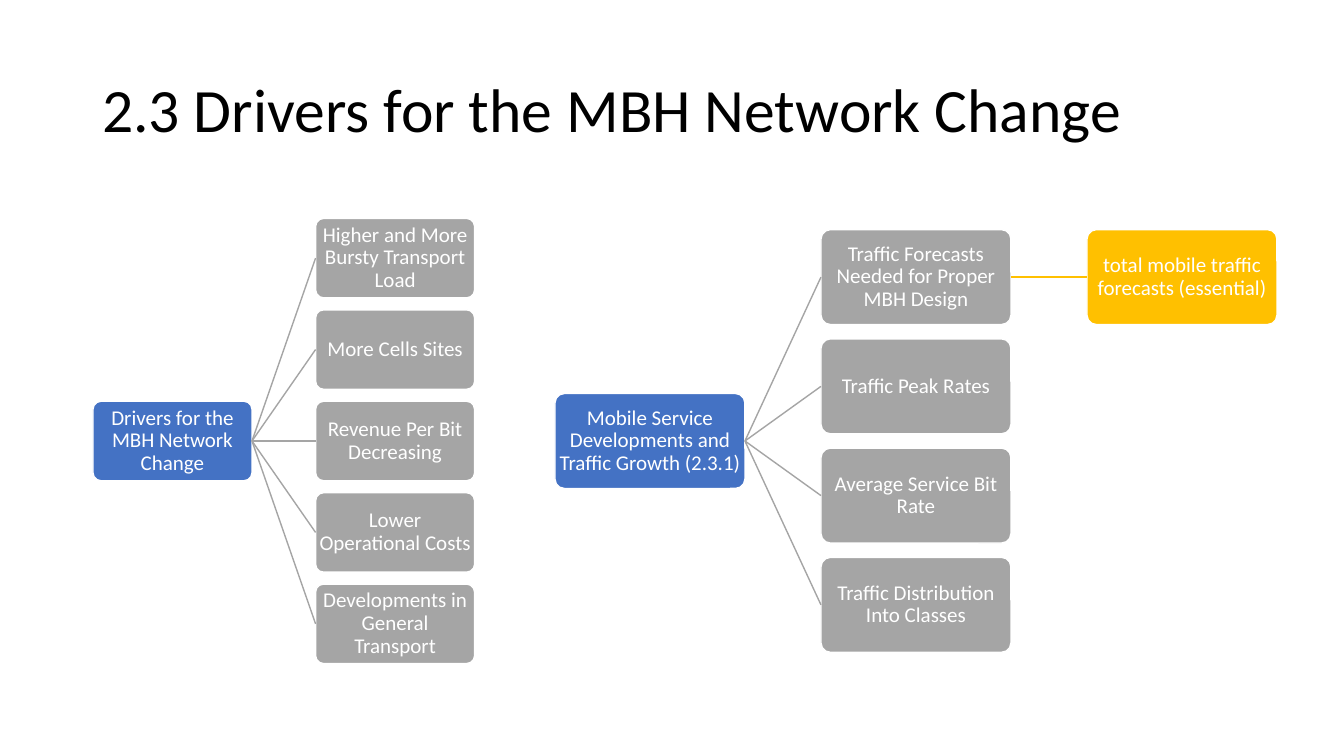
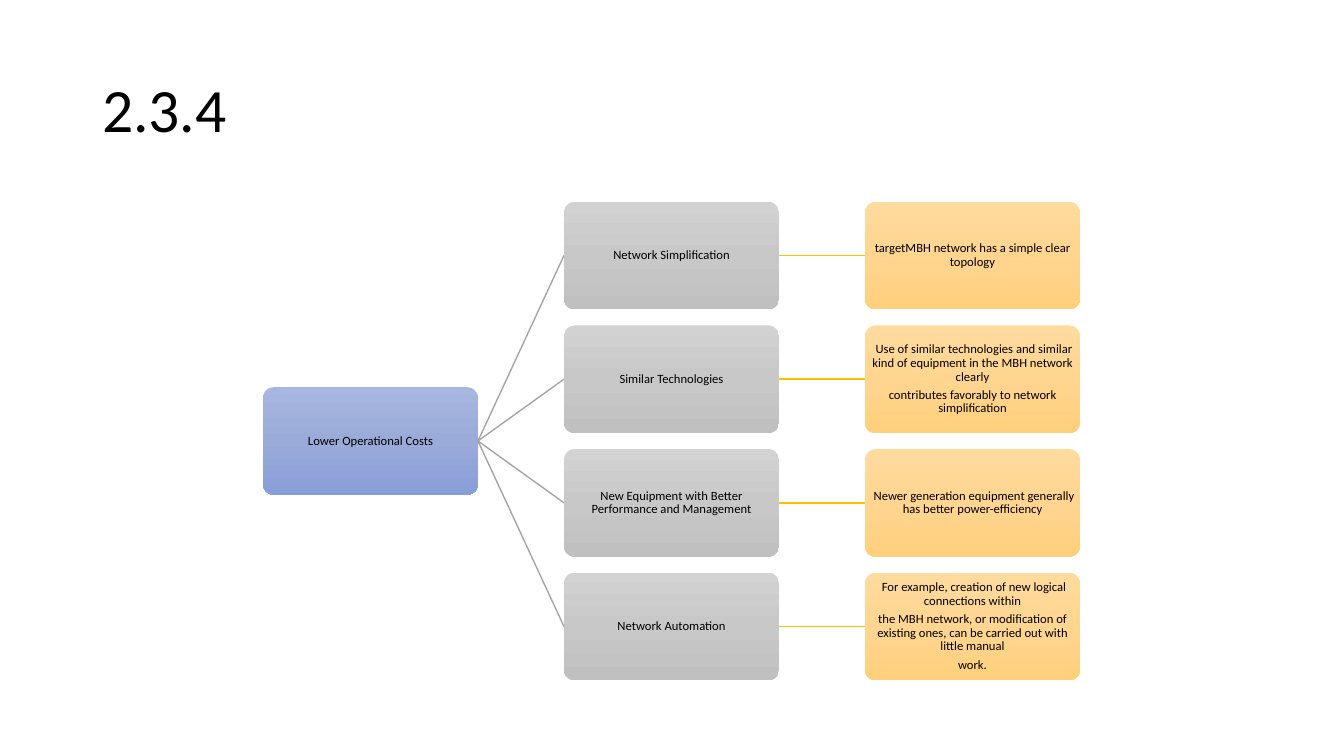
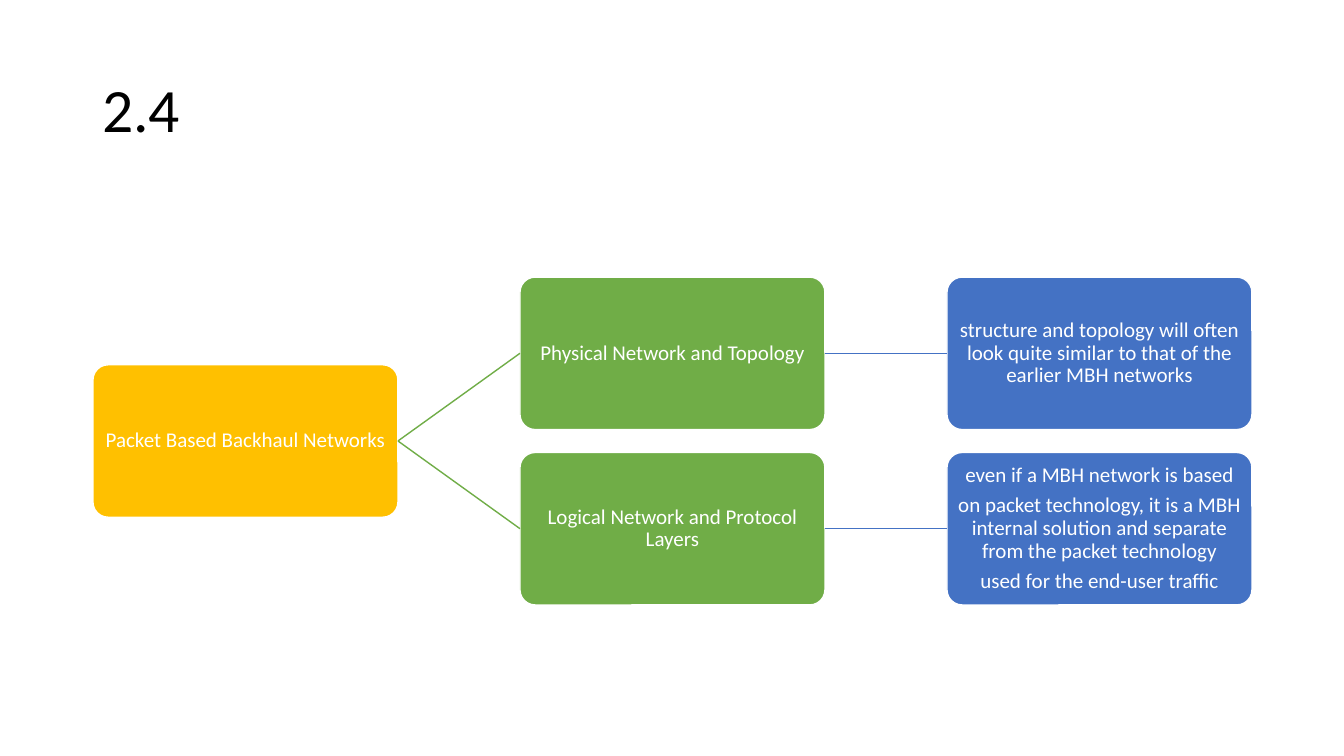
from copy import deepcopy
from dataclasses import dataclass

from lxml import etree
from pptx import Presentation
from pptx import util as u
from pptx.dml.color import RGBColor
from pptx.enum import shapes, text
from pptx.oxml.ns import qn

# Shared look
SCALE = 12192000 / 1344
SLIDE_WIDTH, SLIDE_HEIGHT = 1344, 756
TITLE_BOX = (92, 40, 1159, 146)
TREE_CENTER = 441
COLUMN_PITCH = 1.4  # in box widths
ROW_PITCH = 1.15  # in box heights
FONT = "Calibri"
COLORS = {
    "black": "000000", "white": "FFFFFF",
    "blue": "4472C4", "gray": "A5A5A5", "gold": "FFC000", "green": "70AD47",
    "blue top": "A8B7DF", "blue middle": "9AABD9", "blue bottom": "889ED7",
    "gray top": "D2D2D2", "gray middle": "C8C8C8", "gray bottom": "C0C0C0",
    "gold top": "FFDB9E", "gold middle": "FFD590", "gold bottom": "FFD07C",
}


@dataclass(frozen=True)
class Node:
    paragraphs: tuple[str, ...]
    children: tuple["Node", ...] = ()


@dataclass(frozen=True)
class Tree:
    left: int
    width: int
    levels: tuple[str, ...]  # base colour of each column
    root: Node
    size: int = 15
    shaded: bool = False

    @property
    def height(self) -> float:
        return self.width / 2


def px(length: float) -> u.Emu:
    return u.Emu(round(length * SCALE))


def rgb(name: str) -> RGBColor:
    return RGBColor.from_string(COLORS[name])


def node(*paragraphs: str, children: tuple[Node, ...] = ()) -> Node:
    return Node(paragraphs, children)


# Text
def write_text(frame, paragraphs: tuple[str, ...], *, size: int, color: str,
               align=text.PP_ALIGN.LEFT) -> None:
    frame.word_wrap = True
    frame.vertical_anchor = text.MSO_ANCHOR.MIDDLE
    for index, wording in enumerate(paragraphs):
        paragraph = frame.add_paragraph() if index else frame.paragraphs[0]
        paragraph.alignment = align
        paragraph.line_spacing = 0.9
        paragraph.space_before = u.Pt(0.35 * size if index else 0)
        run = paragraph.add_run()
        run.text = wording
        run.font.name = FONT
        run.font.size = u.Pt(size)
        run.font.color.rgb = rgb(color)


def add_title(slide, wording: str) -> None:
    title = slide.shapes.title
    title.left, title.top, title.width, title.height = map(px, TITLE_BOX)
    write_text(title.text_frame, (wording,), size=44, color="black")


# Tree parts
def shade(box, base: str) -> None:
    box.fill.gradient()
    box.fill.gradient_angle = 270
    stop_list = box._element.spPr.find(".//" + qn("a:gsLst"))
    stop_list.insert(1, deepcopy(stop_list[0]))
    for index, part in enumerate(("top", "middle", "bottom")):
        stop = box.fill.gradient_stops[index]
        stop.position = index / 2
        stop.color.rgb = rgb(f"{base} {part}")


def add_box(slide, tree: Tree, item: Node, level: int, center: float):
    left = tree.left + level * tree.width * COLUMN_PITCH
    box = slide.shapes.add_shape(
        shapes.MSO_SHAPE.ROUNDED_RECTANGLE, px(left), px(center - tree.height / 2),
        px(tree.width), px(tree.height))
    box.adjustments[0] = 0.1
    box.shadow.inherit = False
    base = tree.levels[level]
    if tree.shaded:
        shade(box, base)
        box.line.fill.background()
    else:
        box.fill.solid()
        box.fill.fore_color.rgb = rgb(base)
        box.line.color.rgb = rgb("white")
        box.line.width = u.Pt(1)
    frame = box.text_frame
    frame.margin_left = frame.margin_right = px(1)
    frame.margin_top = frame.margin_bottom = px(1)
    write_text(frame, item.paragraphs, size=tree.size,
               color="black" if tree.shaded else "white",
               align=text.PP_ALIGN.CENTER)
    return box


def add_branch(slide, parent, child, color: str) -> None:
    branch = slide.shapes.add_connector(shapes.MSO_CONNECTOR.STRAIGHT, 0, 0, 0, 0)
    branch.begin_connect(parent, 3)
    branch.end_connect(child, 1)
    branch.line.color.rgb = rgb(color)
    branch.line.width = u.Pt(1)
    etree.SubElement(branch._element.spPr, qn("a:effectLst"))


def add_tree(slide, tree: Tree, item: Node, level: int = 0,
             center: float = TREE_CENTER):
    box = add_box(slide, tree, item, level, center)
    middle = (len(item.children) - 1) / 2
    for row, child in enumerate(item.children):
        child_center = center + (row - middle) * tree.height * ROW_PITCH
        child_box = add_tree(slide, tree, child, level + 1, child_center)
        add_branch(slide, box, child_box, tree.levels[level + 1])
    return box


# Content
change_drivers = Tree(93, 159, ("blue", "gray"), node(
    "Drivers for the MBH Network Change", children=(
        node("Higher and More Bursty Transport Load"),
        node("More Cells Sites"),
        node("Revenue Per Bit Decreasing"),
        node("Lower Operational Costs"),
        node("Developments in General Transport"),
    )))

traffic_growth = Tree(555, 190, ("blue", "gray", "gold"), node(
    "Mobile Service Developments and Traffic Growth (2.3.1)", children=(
        node("Traffic Forecasts Needed for Proper MBH Design", children=(
            node("total mobile traffic forecasts (essential)"),)),
        node("Traffic Peak Rates"),
        node("Average Service Bit Rate"),
        node("Traffic Distribution Into Classes"),
    )))

lower_costs = Tree(263, 215, ("blue", "gray", "gold"), node(
    "Lower Operational Costs", children=(
        node("Network Simplification", children=(
            node("targetMBH network has a simple clear topology"),)),
        node("Similar Technologies", children=(
            node(" Use of similar technologies and similar kind of equipment "
                 "in the MBH network clearly",
                 "contributes favorably to network simplification"),)),
        node("New Equipment with Better Performance and Management", children=(
            node(" Newer generation equipment generally has better "
                 "power-efficiency"),)),
        node("Network Automation", children=(
            node(" For example, creation of new logical connections within",
                 "the MBH network, or modification of existing ones, can be "
                 "carried out with little manual",
                 "work."),)),
    )), size=9, shaded=True)

packet_backhaul = Tree(93, 305, ("gold", "green", "blue"), node(
    "Packet Based Backhaul Networks", children=(
        node("Physical Network and Topology", children=(
            node("structure and topology will often look quite similar to "
                 "that of the earlier MBH networks"),)),
        node("Logical Network and Protocol Layers", children=(
            node("even if a MBH network is based",
                 "on packet technology, it is a MBH internal solution and "
                 "separate from the packet technology",
                 "used for the end-user traffic"),)),
    )))

SLIDES = (
    ("2.3 Drivers for the MBH Network Change", (change_drivers, traffic_growth)),
    ("2.3.4", (lower_costs,)),
    ("2.4", (packet_backhaul,)),
)

# Build
deck = Presentation()
deck.slide_width, deck.slide_height = px(SLIDE_WIDTH), px(SLIDE_HEIGHT)
title_only = deck.slide_layouts[5]
for heading, trees in SLIDES:
    page = deck.slides.add_slide(title_only)
    add_title(page, heading)
    for diagram in trees:
        add_tree(page, diagram, diagram.root)
deck.save("out.pptx")
